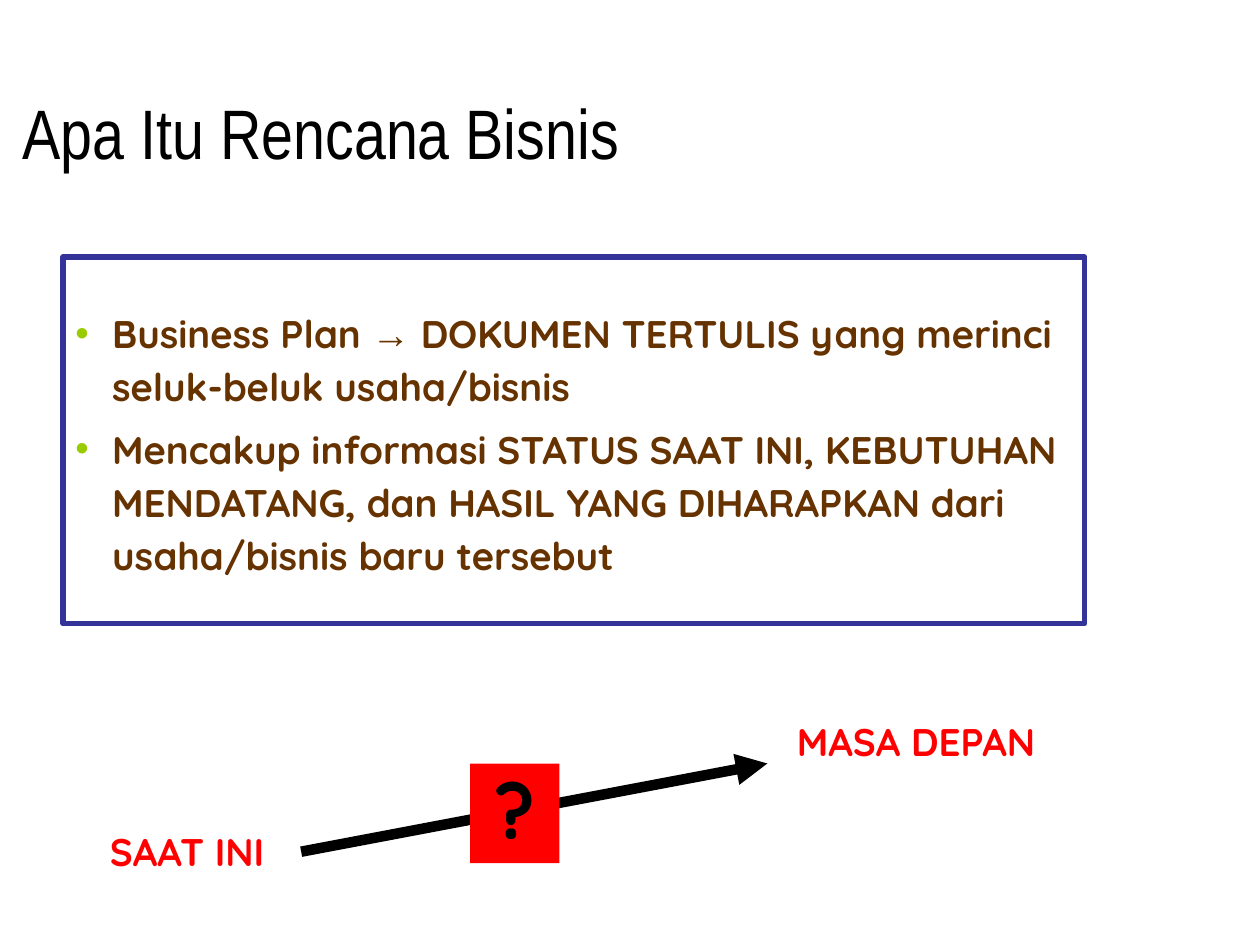
"""Build the slide that explains what a business plan is."""
from lxml import etree
from pptx import Presentation
from pptx.dml.color import RGBColor as RGB
from pptx.enum.shapes import MSO_CONNECTOR as LINE, MSO_SHAPE as SHAPE
from pptx.enum.text import MSO_ANCHOR as ANCHOR, PP_ALIGN as ALIGN
from pptx.oxml.ns import qn
from pptx.util import Pt

COLORS = {
    "white": "FFFFFF", "black": "000000", "navy": "333399",
    "brown": "663300", "green": "99CC00", "red": "FF0000",
}
BODY = "Quicksand"
INDENT = 21
ARROW = "→ "
POINTS = [
    ["Business Plan ", ARROW, "DOKUMEN TERTULIS yang merinci seluk-beluk usaha/bisnis"],
    ["Mencakup informasi STATUS SAAT INI, KEBUTUHAN MENDATANG, "
     "dan HASIL YANG DIHARAPKAN dari usaha/bisnis baru tersebut"],
]


def color(name):
    return RGB.from_string(COLORS[name])


def add_tag(parent, tag, **attrs):
    return etree.SubElement(parent, qn(tag), **attrs)


def add_bullet(para, tint):
    props = para._p.get_or_add_pPr()
    props.set("marL", str(Pt(INDENT)))
    props.set("indent", str(Pt(-INDENT)))
    add_tag(add_tag(props, "a:buClr"), "a:srgbClr", val=COLORS[tint])
    add_tag(props, "a:buFont", typeface="Arial")
    add_tag(props, "a:buChar", char="•")


def write(shape, paras, size=22, font=BODY, tint="black", bold=True,
          align=ALIGN.LEFT, spacing=1.15, bullet=None):
    frame = shape.text_frame
    frame.word_wrap = True
    frame.vertical_anchor = ANCHOR.MIDDLE
    for i, parts in enumerate(paras):
        para = frame.add_paragraph() if i else frame.paragraphs[0]
        if bullet:
            add_bullet(para, bullet)
        para.alignment = align
        para.line_spacing = spacing
        if i:
            para.space_before = Pt(5.5)
        for part in parts:
            run = para.add_run()
            run.text = part
            run.font.name = "Arial" if part == ARROW else font
            run.font.size = Pt(size)
            run.font.bold = bold
            run.font.color.rgb = color(tint)


def add_box(slide, area, fill, edge=None):
    box = slide.shapes.add_shape(SHAPE.RECTANGLE, *map(Pt, area))
    box.shadow.inherit = False
    box.fill.solid()
    box.fill.fore_color.rgb = color(fill)
    if edge:
        box.line.color.rgb = color(edge)
        box.line.width = Pt(3)
    else:
        box.line.fill.background()
    return box


def add_text(slide, area, text, **style):
    write(slide.shapes.add_textbox(*map(Pt, area)), [[text]], **style)


def add_arrow(slide, ends, width):
    arrow = slide.shapes.add_connector(LINE.STRAIGHT, *map(Pt, ends))
    arrow.line.color.rgb = color("black")
    arrow.line.width = Pt(width)
    add_tag(arrow.line._get_or_add_ln(), "a:tailEnd", type="triangle")
    add_tag(arrow._element.spPr, "a:effectLst")


def main():
    deck = Presentation()
    deck.slide_width, deck.slide_height = Pt(720), Pt(540)
    slide = deck.slides.add_slide(deck.slide_layouts[6])

    panel = add_box(slide, (36, 146.9, 583.9, 209.5), "white", "navy")
    write(panel, POINTS, tint="brown", bullet="green")

    label = dict(tint="red", align=ALIGN.CENTER)
    add_text(slide, (47.5, 464.4, 118.8, 39.6), "SAAT INI", **label)
    add_text(slide, (432.7, 401.8, 181.4, 39.6), "MASA DEPAN", **label)

    add_arrow(slide, (172.1, 486.7, 438.5, 436.3), 6)
    mark = add_box(slide, (268.6, 436.3, 51.1, 56.9), "red")
    write(mark, [["?"]], size=44.4, align=ALIGN.CENTER, spacing=0.95)

    add_text(slide, (5.8, 36, 498.2, 77.8), "Apa Itu Rencana Bisnis",
             size=40, font="Arial Narrow", bold=False, spacing=1)
    deck.save("out.pptx")


if __name__ == "__main__":
    main()
